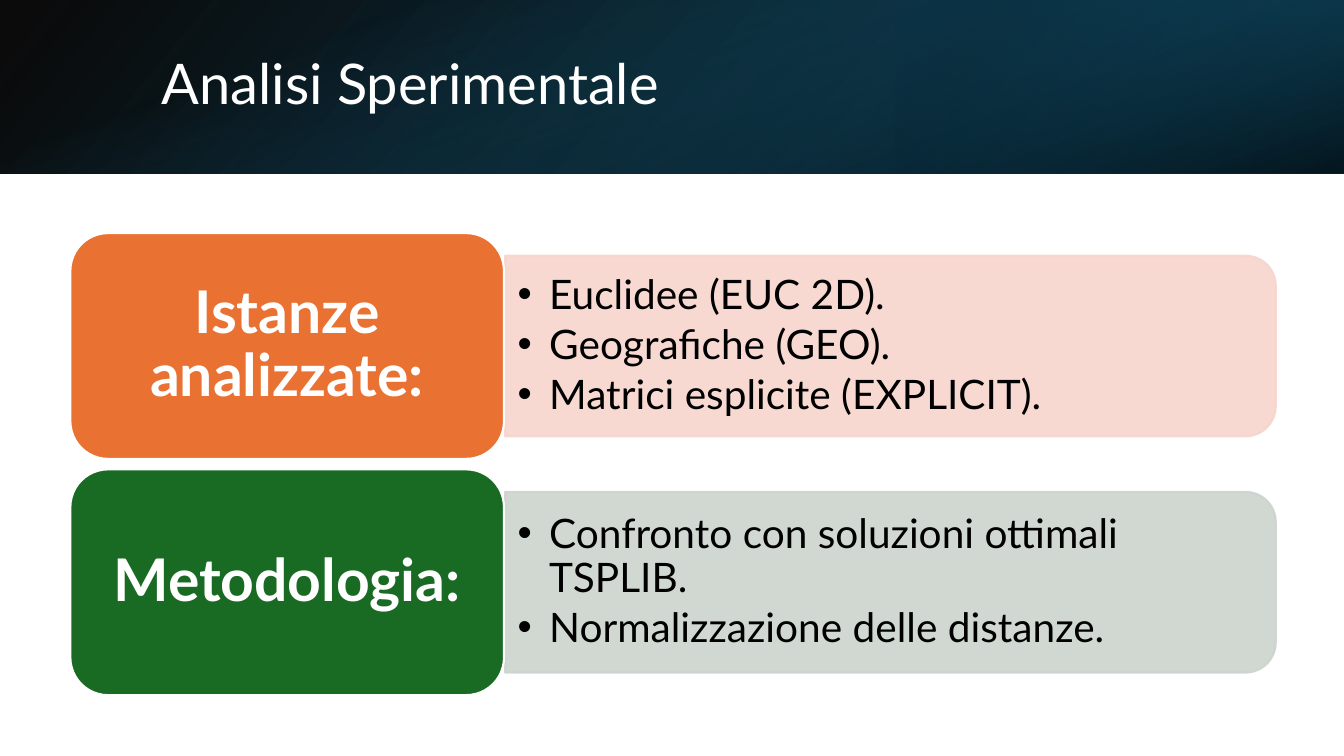
from pptx import Presentation
from pptx import util as u
from pptx.dml.color import RGBColor
from pptx.enum import shapes, text
from pptx.oxml import ns
from lxml import etree

PX = 9525
FONT = "Lato"
WHITE = RGBColor(0xFF, 0xFF, 0xFF)
BLACK = RGBColor(0x00, 0x00, 0x00)
OCEAN = RGBColor(0x10, 0x48, 0x62)
NAVY = RGBColor(0x0B, 0x30, 0x41)
TEAL = RGBColor(0x15, 0x60, 0x82)
ORANGE = RGBColor(0xE9, 0x71, 0x32)
PEACH = RGBColor(0xF7, 0xD5, 0xCE)
GREEN = RGBColor(0x19, 0x6B, 0x24)
SAGE = RGBColor(0xCC, 0xD4, 0xCD)

WIDTH, HEIGHT, BAND_HEIGHT = 1280, 720, 165
CARD_LEFT, CARD_TOP, CARD_WIDTH, CARD_HEIGHT = 67, 222, 413, 215
CARD_PITCH = 225
BAR_LEFT, BAR_WIDTH, BAR_HEIGHT = 481, 734, 172
LIST_WIDTH, LIST_HEIGHT, LIST_INDENT = 726, 155, 30

SECTIONS = [
    ("Istanze analizzate:", ORANGE, PEACH,
     ["Euclidee (EUC 2D).", "Geografiche (GEO).", "Matrici esplicite (EXPLICIT)."]),
    ("Metodologia:", GREEN, SAGE,
     ["Confronto con soluzioni ottimali TSPLIB.", "Normalizzazione delle distanze."]),
]


class SlideBuilder:
    """Draws the elements of one slide in a shared style."""

    def __init__(self, presentation):
        self.slide = presentation.slides.add_slide(presentation.slide_layouts[6])

    def shape(self, kind, left, top, width, height, rotation=0):
        if rotation == 90:
            left, top = left + (width - height) / 2, top + (height - width) / 2
            width, height = height, width
        box = [u.Emu(round(value * PX)) for value in (left, top, width, height)]
        shape = self.slide.shapes.add_shape(kind, *box)
        shape.rotation = rotation
        shape.shadow.inherit = False
        return shape

    def set_opacity(self, shape, percents):
        colors = list(shape._element.spPr.iter(ns.qn("a:srgbClr")))
        for color, percent in zip(colors, percents):
            etree.SubElement(color, ns.qn("a:alpha"), val=str(percent * 1000))

    def gradient(self, left, width, stops, angle, rotation=0, flip=False):
        shape = self.shape(shapes.MSO_SHAPE.RECTANGLE, left, 0, width, BAND_HEIGHT, rotation)
        shape.line.fill.background()
        shape.fill.gradient()
        shape.fill.gradient_angle = 360 - angle
        for stop, (position, color, _) in zip(shape.fill.gradient_stops, stops):
            stop.position = position / 100
            stop.color.rgb = color
        self.set_opacity(shape, [opacity for _, _, opacity in stops])
        if flip:
            shape._element.spPr.xfrm.set("flipH", "1")

    def paint(self, shape, fill, line):
        shape.fill.solid()
        shape.fill.fore_color.rgb = fill
        shape.line.color.rgb = line
        shape.line.width = u.Pt(1.5)

    def add_text(self, shape, lines, size, color, margins, bold=False, centered=False, after=0):
        frame = shape.text_frame
        frame.word_wrap = True
        frame.vertical_anchor = text.MSO_ANCHOR.MIDDLE
        frame.margin_left = frame.margin_right = margins[0] * PX
        frame.margin_top = frame.margin_bottom = margins[1] * PX
        for index, line in enumerate(lines):
            paragraph = frame.add_paragraph() if index else frame.paragraphs[0]
            paragraph.alignment = text.PP_ALIGN.CENTER if centered else text.PP_ALIGN.LEFT
            paragraph.line_spacing = 0.9
            paragraph.space_after = u.Pt(after)
            run = paragraph.add_run()
            run.text = line
            run.font.name = FONT
            run.font.size = u.Pt(size)
            run.font.bold = bold
            run.font.color.rgb = color
        return frame

    def textbox(self, left, top, width, height):
        box = [value * PX for value in (left, top, width, height)]
        return self.slide.shapes.add_textbox(*box)

    def title(self, line):
        self.add_text(self.textbox(144, 36, 1054, 92), [line], 40, WHITE, (10, 5))

    def bar(self, top, color):
        shape = self.shape(shapes.MSO_SHAPE.ROUND_2_SAME_RECTANGLE,
                           BAR_LEFT, top, BAR_WIDTH, BAR_HEIGHT, 90)
        self.paint(shape, color, color)
        self.set_opacity(shape, (90, 90))

    def bullets(self, top, lines):
        shape = self.textbox(BAR_LEFT, top, LIST_WIDTH, LIST_HEIGHT)
        frame = self.add_text(shape, lines, 29, BLACK, (12, 6), after=4.4)
        for paragraph in frame.paragraphs:
            properties = paragraph._p.get_or_add_pPr()
            properties.set("marL", str(LIST_INDENT * PX))
            properties.set("indent", str(-LIST_INDENT * PX))
            etree.SubElement(properties, ns.qn("a:buFont"), typeface="Arial")
            etree.SubElement(properties, ns.qn("a:buChar"), char="•")

    def card(self, top, label, color):
        shape = self.shape(shapes.MSO_SHAPE.ROUNDED_RECTANGLE,
                           CARD_LEFT, top, CARD_WIDTH, CARD_HEIGHT)
        self.paint(shape, color, WHITE)
        self.add_text(shape, [label], 42, WHITE, (27, 19), bold=True, centered=True, after=14.7)


def main():
    presentation = Presentation()
    presentation.slide_width = WIDTH * PX
    presentation.slide_height = HEIGHT * PX
    builder = SlideBuilder(presentation)

    builder.gradient(0, WIDTH, [(0, BLACK, 96), (100, OCEAN, 100)], 140, flip=True)
    builder.gradient(853, 427, [(19, NAVY, 68), (100, TEAL, 79)], 320, rotation=180, flip=True)
    builder.gradient(0, WIDTH, [(23, TEAL, 0), (99, BLACK, 74)], 340, rotation=90)
    builder.title("Analisi Sperimentale")

    for index, (label, strong, pale, lines) in enumerate(SECTIONS):
        top = CARD_TOP + index * CARD_PITCH
        builder.bar(top + (CARD_HEIGHT - BAR_HEIGHT) / 2, pale)
        builder.bullets(top + (CARD_HEIGHT - LIST_HEIGHT) // 2, lines)
        builder.card(top, label, strong)

    presentation.save("out.pptx")


if __name__ == "__main__":
    main()
